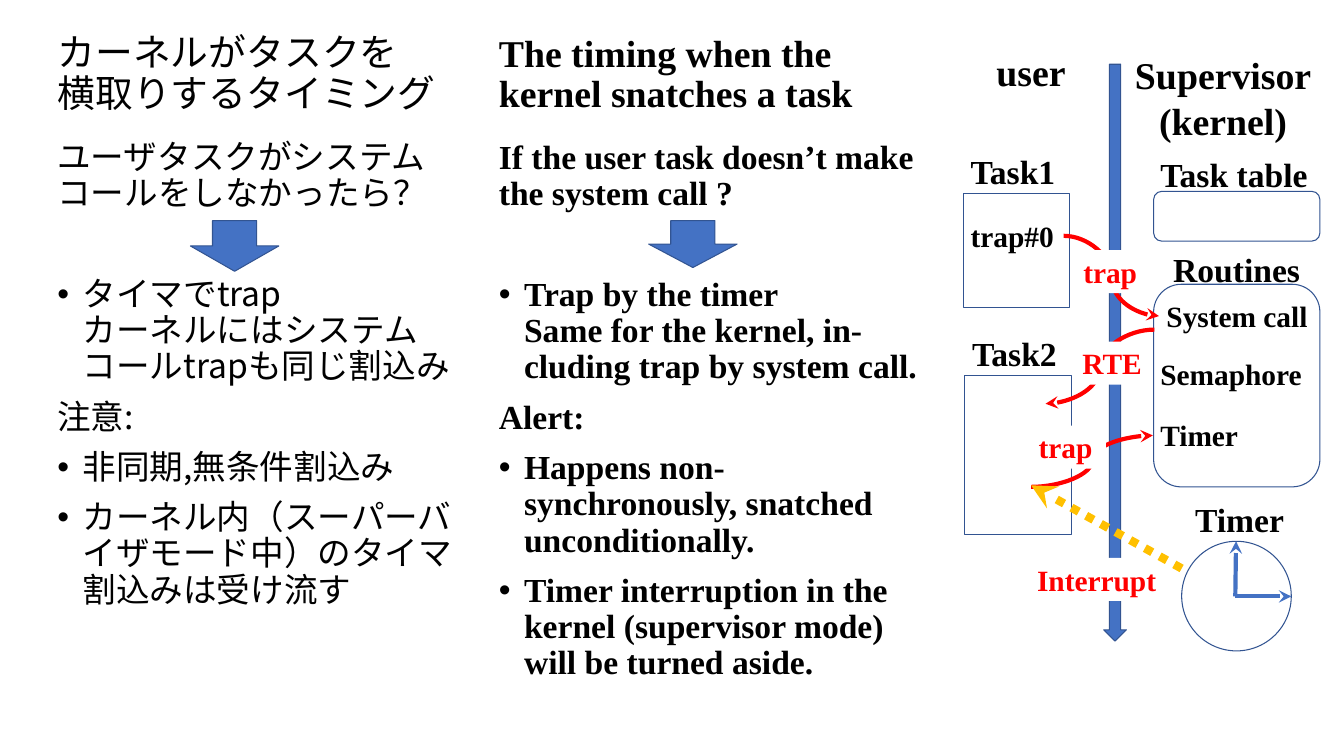
from lxml.etree import SubElement
from pptx import Presentation
from pptx.dml.color import RGBColor
from pptx.enum.dml import MSO_LINE
from pptx.enum.shapes import MSO_CONNECTOR, MSO_SHAPE
from pptx.enum.text import MSO_ANCHOR, MSO_AUTO_SIZE, PP_ALIGN
from pptx.oxml.ns import qn
from pptx.util import Pt

COLORS = {"text": "000000", "blue": "4472C4", "outline": "325491",
          "red": "FF0000", "amber": "FFC000", "white": "FFFFFF"}
JAPANESE = {"name": "Noto Sans CJK JP", "bold": False}
ENGLISH = {"name": "Times New Roman", "bold": True}
ARROW_GAP = 61  # room above the paragraph that follows a block arrow

JAPANESE_BODY = [
    ("ユーザタスクがシステムコールをしなかったら？", False, 13.3),
    ("タイマでtrap\nカーネルにはシステムコールtrapも同じ割込み", True, ARROW_GAP),
    ("注意:", False, 13.3),
    ("非同期,無条件割込み", True, 13.3),
    ("カーネル内（スーパーバイザモード中）のタイマ割込みは受け流す", True, 13.3),
]
ENGLISH_BODY = [
    ("If the user task doesn’t make the system call ?", False, 13.3),
    ("Trap by the timer\nSame for the kernel, in-cluding trap by system call.",
     True, ARROW_GAP),
    ("Alert:", False, 13.3),
    ("Happens non-synchronously, snatched unconditionally.", True, 13.3),
    ("Timer interruption in the kernel (supervisor mode) will be turned aside.",
     True, 13.3),
]


def rgb(color):
    return RGBColor.from_string(COLORS[color])


def write(p, text, size, font=ENGLISH, color="text", **paragraph_format):
    """Fill a paragraph; a newline in the text becomes a line break."""
    p.text = text
    for key, value in paragraph_format.items():
        setattr(p, key, value)
    for r in p.runs:
        for key, value in {**font, "size": Pt(size)}.items():
            setattr(r.font, key, value)
        r.font.color.rgb = rgb(color)
        SubElement(r.font._element, qn("a:ea"), typeface=font["name"])


def add_bullet(p):
    pPr = p._p.get_or_add_pPr()
    pPr.set("marL", str(Pt(24)))
    pPr.set("indent", str(Pt(-24)))
    SubElement(pPr, qn("a:buFont"), typeface="Arial")
    SubElement(pPr, qn("a:buChar"), char="•")


def add_box(s, *box):
    return s.shapes.add_textbox(*map(Pt, box))


def add_heading(sp, text, font):
    tf = sp.text_frame
    tf.word_wrap = True
    tf.auto_size = MSO_AUTO_SIZE.NONE
    tf.vertical_anchor = MSO_ANCHOR.MIDDLE
    write(tf.paragraphs[0], text, 36, font, alignment=PP_ALIGN.LEFT,
          line_spacing=0.9)


def add_body(s, box, items, font):
    tf = add_box(s, *box).text_frame
    tf.word_wrap = True
    for i, (text, bulleted, gap) in enumerate(items):
        p = tf.add_paragraph() if i else tf.paragraphs[0]
        write(p, text, 32, font, line_spacing=0.9, space_before=Pt(gap))
        if bulleted:
            add_bullet(p)


def add_label(s, text, size, box, align=PP_ALIGN.LEFT):
    """Headings grow around one line; 28 pt entries keep their box width."""
    tf = add_box(s, *box).text_frame
    tf.word_wrap = size < 32
    tf.auto_size = MSO_AUTO_SIZE.SHAPE_TO_FIT_TEXT
    write(tf.paragraphs[0], text, size, alignment=align)


def add_tag(s, text, x, y, width=71.3):
    sp = add_box(s, x, y, width, 41)
    sp.fill.solid()
    sp.fill.fore_color.rgb = rgb("white")
    sp.text_frame.word_wrap = True
    write(sp.text_frame.paragraphs[0], text, 28, color="red")


def add_block(s, kind, box, fill=None):
    sp = s.shapes.add_shape(kind, *map(Pt, box))
    sp.shadow.inherit = False
    if fill:
        sp.fill.solid()
        sp.fill.fore_color.rgb = rgb(fill)
    else:
        sp.fill.background()
    sp.line.color.rgb = rgb("outline")
    sp.line.width = Pt(1)


def add_arrow(s, start, end, color, width=4, kind=MSO_CONNECTOR.STRAIGHT,
              dash=None):
    c = s.shapes.add_connector(kind, *map(Pt, (*start, *end)))
    c.line.color.rgb = rgb(color)
    c.line.width = Pt(width)
    if dash:
        c.line.dash_style = dash
    SubElement(c.line._get_or_add_ln(), qn("a:tailEnd"), type="stealth")
    SubElement(c._element.spPr, qn("a:effectLst"))


def add_task(s, name, x, y, height):
    add_block(s, MSO_SHAPE.RECTANGLE, (x, y, 101.5, height))
    add_label(s, name, 32, (x, y - 43.9, 95.8, 46))


def add_columns(s):
    title = s.shapes.title
    title.left, title.top, title.width, title.height = map(
        Pt, (47.5, 42.5, 383, 57))
    add_heading(title, "カーネルがタスクを\n横取りするタイミング", JAPANESE)
    add_heading(add_box(s, 468, 18, 361.4, 107.3),
                "The timing when the kernel snatches a task", ENGLISH)
    add_body(s, (47.5, 130.3, 391, 525.6), JAPANESE_BODY, JAPANESE)
    add_body(s, (468, 130.3, 425.5, 525.6), ENGLISH_BODY, ENGLISH)
    for x, height in ((181.4, 48.2), (617.8, 44.6)):
        add_block(s, MSO_SHAPE.DOWN_ARROW, (x, 210.2, 84.2, height), "blue")


def add_user_side(s):
    add_label(s, "user", 36, (941.8, 42.5, 81.4, 51))
    add_task(s, "Task1", 917.3, 184.3, 108.7)
    add_label(s, "trap#0", 28, (917.3, 204.5, 95.8, 41))
    add_task(s, "Task2", 918.7, 357.8, 151.2)


def add_kernel_side(s):
    add_label(s, "Supervisor\n(kernel)", 36, (1072.8, 46, 184.3, 94.3),
              PP_ALIGN.CENTER)
    for y, height in ((182.2, 47.5), (270.7, 193)):
        add_block(s, MSO_SHAPE.ROUNDED_RECTANGLE, (1098.7, y, 158.4, height))
    for text, x, y, width in (("Task table", 1098, 143.3, 156.2),
                              ("Routines", 1110.2, 233.3, 136.8),
                              ("Timer", 1131.1, 471.6, 100)):
        add_label(s, text, 32, (x, y, width, 46))
    for text, x, y in (("System call", 1103.8, 280),
                       ("Semaphore", 1098, 335.5), ("Timer", 1098, 393.8)):
        add_label(s, text, 28, (x, y, 154.8, 41))
    add_block(s, MSO_SHAPE.OVAL, (1125.4, 515.5, 104.4, 104.4))
    for tip in ((1177.2, 515.5), (1229.8, 568)):
        add_arrow(s, (1176.5, 568), tip, "blue")


def add_transitions(s):
    add_tag(s, "Interrupt", 980.6, 531.4, 129.6)
    for start, end, text, x, y in (
            ((1013, 224.6), (1103.8, 301), "trap", 1024.6, 238.3),
            ((1099.4, 313.9), (995.8, 384.5), "RTE", 1023.8, 325.4),
            ((982, 463.7), (1098, 414.7), "trap", 982, 405.4)):
        add_arrow(s, start, end, "red", kind=MSO_CONNECTOR.CURVE)
        add_tag(s, text, x, y)
    add_arrow(s, (1125.4, 541.4), (982, 462.2), "amber", 8,
              dash=MSO_LINE.ROUND_DOT)


def main():
    prs = Presentation()
    prs.slide_width, prs.slide_height = Pt(1280), Pt(720)
    s = prs.slides.add_slide(prs.slide_layouts[5])
    add_columns(s)
    add_block(s, MSO_SHAPE.DOWN_ARROW, (1051.2, 61.2, 21.6, 549.4), "blue")
    add_user_side(s)
    add_kernel_side(s)
    add_transitions(s)
    prs.save("out.pptx")


if __name__ == "__main__":
    main()
